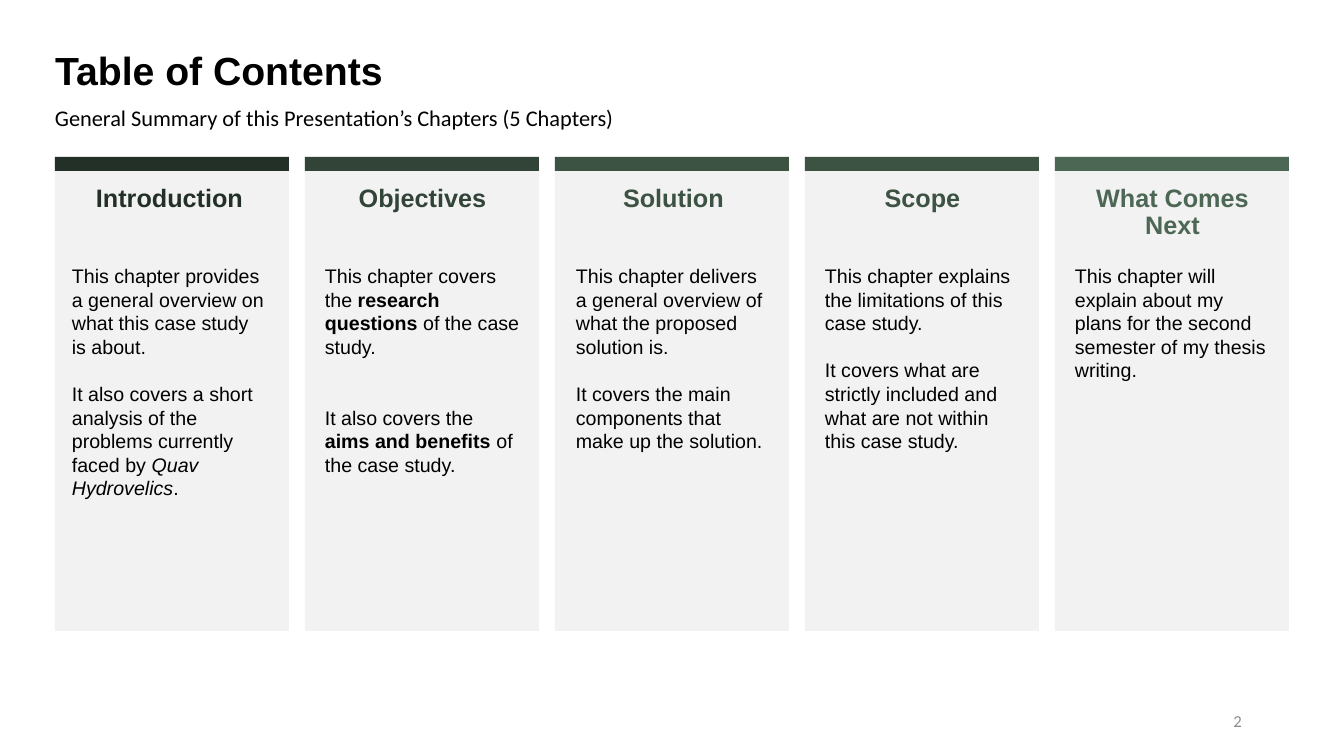
from pptx import Presentation
from pptx.dml.color import RGBColor
from pptx.enum.shapes import MSO_SHAPE
from pptx.enum.text import MSO_ANCHOR, MSO_AUTO_SIZE, PP_ALIGN
from pptx.util import Emu, Pt

RECT = MSO_SHAPE.RECTANGLE
TOP, MIDDLE = MSO_ANCHOR.TOP, MSO_ANCHOR.MIDDLE
LEFT, CENTER, RIGHT = PP_ALIGN.LEFT, PP_ALIGN.CENTER, PP_ALIGN.RIGHT
NO_FIT = MSO_AUTO_SIZE.NONE

SLIDE_W, SLIDE_H = 1344, 756
EMU_PER_PX = 12192000 / SLIDE_W
COLORS = {
    "text": "000000", "panel": "F2F2F2", "number": "8C8C8C",
    "darkest": "233027", "dark": "324438", "mid": "3C5243", "light": "4C6855",
}
LINE = 17  # height of one body line, in points

# Heading, accent, text inset in px, space between paragraphs in points,
# and paragraphs made of (text, style) runs
CHAPTERS = [
    ("Introduction", "darkest", 7, LINE, [
        [("This chapter provides a general overview on what this case study is about.", "")],
        [("It also covers a short analysis of the problems currently faced by ", ""),
         ("Quav Hydrovelics", "i"), (".", "")]]),
    ("Objectives", "dark", 10, 2 * LINE, [
        [("This chapter covers the ", ""), ("research questions ", "b"),
         ("of the case study.", "")],
        [("It also covers the ", ""), ("aims and benefits ", "b"),
         ("of the case study.", "")]]),
    ("Solution", "mid", 11, LINE, [
        [("This chapter delivers a general overview of what the proposed solution is.", "")],
        [("It covers the main components that make up the solution.", "")]]),
    ("Scope", "mid", 10, LINE, [
        [("This chapter explains the limitations of this case study.", "")],
        [("It covers what are strictly included and what are not within this case study.", "")]]),
    ("What Comes Next", "light", 10, LINE, [
        [("This chapter will explain about my plans for the second semester of my thesis writing.", "")]]),
]


def px(n):
    return Emu(round(n * EMU_PER_PX))


def rgb(name):
    return RGBColor.from_string(COLORS[name])


def place(sp, x, y, w, h):
    sp.left, sp.top, sp.width, sp.height = px(x), px(y), px(w), px(h)


def add_rect(s, x, y, w, h, color):
    sp = s.shapes.add_shape(RECT, px(x), px(y), px(w), px(h))
    sp.shadow.inherit = False
    sp.fill.solid()
    sp.fill.fore_color.rgb = rgb(color)
    sp.line.fill.background()


def write(sp, paragraphs, size, color="text", font="Arial", align=LEFT,
          anchor=TOP, spacing=None, gap=0):
    """Fill a text shape; each paragraph is a list of (text, style) runs."""
    tf = sp.text_frame
    tf.word_wrap = True
    tf.auto_size = NO_FIT
    tf.vertical_anchor = anchor
    for i, runs in enumerate(paragraphs):
        p = tf.add_paragraph() if i else tf.paragraphs[0]
        p.alignment = align
        p.space_before = Pt(gap if i else 0)
        if spacing:
            p.line_spacing = spacing
        for text, style in runs:
            r = p.add_run()
            r.text = text
            r.font.name = font
            r.font.size = Pt(size)
            r.font.bold = style == "b"
            r.font.italic = style == "i"
            r.font.color.rgb = rgb(color)


def add_text(s, x, y, w, h, paragraphs, size, **style):
    write(s.shapes.add_textbox(px(x), px(y), px(w), px(h)), paragraphs, size, **style)


def add_header(s, x, y, w, h):
    half = h // 2
    place(s.shapes.title, x, y, w, half)
    write(s.shapes.title, [[("Table of Contents", "b")]], 28, spacing=0.9)
    add_text(s, x, y + half, w, half,
             [[("General Summary of this Presentation’s Chapters (5 Chapters)", "")]],
             16, font="Calibri", spacing=0.9)


def add_chapter(s, x, y, w, h, chapter):
    heading, accent, inset, gap, paragraphs = chapter
    text_w = w - 19
    add_rect(s, x, y, w, h, "panel")
    add_rect(s, x, y, w, 14, accent)
    add_text(s, x + inset, y + 24, text_w, 68, [[(heading, "b")]], 18,
             color=accent, align=CENTER, spacing=0.9)
    add_text(s, x + inset, y + 102, text_w, 360, paragraphs, 14, gap=gap)


def add_chapters(s, x, y, w, h):
    gap = 16
    col_w = (w - gap * (len(CHAPTERS) - 1)) / len(CHAPTERS)
    for i, chapter in enumerate(CHAPTERS):
        add_chapter(s, x + i * (col_w + gap), y, col_w, h, chapter)


def add_page_number(s, x, y, w, h):
    add_text(s, x, y, w, h, [[("2", "")]], 12, color="number", font="Calibri",
             align=RIGHT, anchor=MIDDLE)


def main():
    prs = Presentation()
    prs.slide_width, prs.slide_height = px(SLIDE_W), px(SLIDE_H)
    s = prs.slides.add_slide(prs.slide_layouts[5])
    add_header(s, 45, 47, 1094, 110)
    add_chapters(s, 55, 157, 1234, 474)
    add_page_number(s, 950, 701, 302, 40)
    prs.save("out.pptx")


if __name__ == "__main__":
    main()
